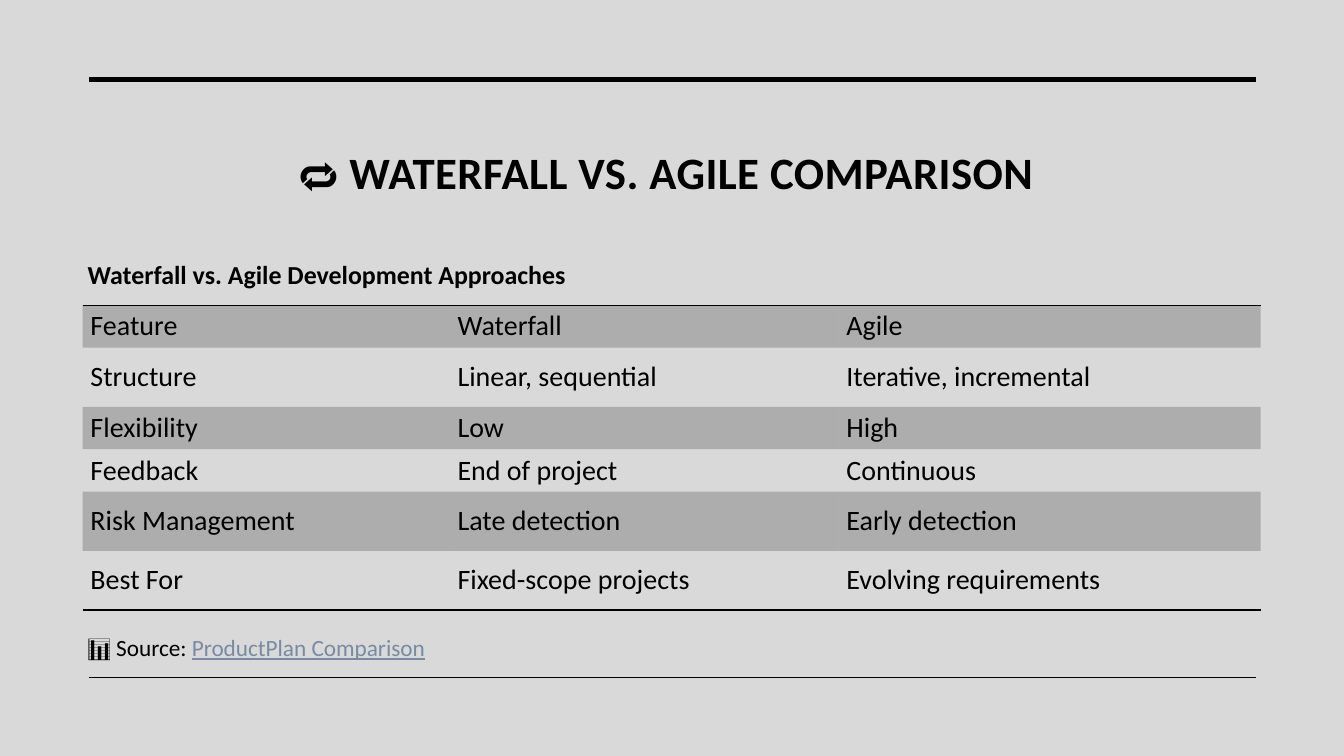
from dataclasses import dataclass

from lxml import etree
from pptx import Presentation
from pptx.dml import color
from pptx.enum import shapes, text
from pptx.oxml import ns
from pptx.util import Cm, Pt

INK = "000000"
LINK = "778BA2"
FONT = "Calibri"
NO_GRID_STYLE = "{2D5ABB26-0587-4C30-8999-92F81FD0307C}"
CONTENT_LEFT, CONTENT_WIDTH = 1.96, 29.67
COLUMN_WIDTHS = (9.25, 9.8, 10.64)
ROW_HEIGHTS = (1.07, 1.49, 1.07, 1.07, 1.49, 1.49)
COMPARISON = (
    ("Feature", "Waterfall", "Agile"),
    ("Structure", "Linear, sequential", "Iterative, incremental"),
    ("Flexibility", "Low", "High"),
    ("Feedback", "End of project", "Continuous"),
    ("Risk Management", "Late detection", "Early detection"),
    ("Best For", "Fixed-scope projects", "Evolving requirements"),
)


@dataclass
class Span:
    words: str
    size: float
    bold: bool = False
    colour: str = INK
    underline: bool = False
    spacing: int = 0


@dataclass
class Label:
    top: float
    height: float
    spans: tuple[Span, ...]
    align: text.PP_ALIGN = text.PP_ALIGN.LEFT


@dataclass
class Rule:
    top: float
    weight: float


LABELS = (
    Label(2.51, 3.63, (Span("🔁 WATERFALL VS. AGILE COMPARISON", 32, bold=True, spacing=30),),
          text.PP_ALIGN.CENTER),
    Label(6.4, 1.02, (Span("Waterfall vs. Agile Development Approaches", 18.5, bold=True),)),
    Label(15.8, 1.02, (Span("📊 Source: ", 16.6),
                       Span("ProductPlan Comparison", 16.6, colour=LINK, underline=True))),
)
RULES = (Rule(2, 3.5), Rule(17.07, 1))


def rgb(value: str) -> color.RGBColor:
    return color.RGBColor.from_string(value)


def style_span(span, look: Span) -> None:
    span.font.name = FONT
    span.font.size = Pt(look.size)
    span.font.bold = look.bold
    span.font.underline = look.underline
    span.font.color.rgb = rgb(look.colour)
    if look.spacing:
        span._r.get_or_add_rPr().set("spc", str(look.spacing))


def draw_label(page, label: Label) -> None:
    box = page.shapes.add_textbox(
        Cm(CONTENT_LEFT), Cm(label.top), Cm(CONTENT_WIDTH), Cm(label.height))
    frame = box.text_frame
    frame.word_wrap = True
    frame.vertical_anchor = text.MSO_ANCHOR.MIDDLE
    para = frame.paragraphs[0]
    para.alignment = label.align
    for look in label.spans:
        span = para.add_run()
        span.text = look.words
        style_span(span, look)


def draw_rule(page, rule: Rule) -> None:
    line = page.shapes.add_connector(
        shapes.MSO_CONNECTOR.STRAIGHT, Cm(2.24), Cm(rule.top), Cm(31.65), Cm(rule.top))
    line.line.color.rgb = rgb(INK)
    line.line.width = Pt(rule.weight)
    etree.SubElement(line._element.spPr, ns.qn("a:effectLst"))


def add_border(cell, edge: str) -> None:
    border = etree.Element(ns.qn(f"a:{edge}"), w=str(Pt(1)))
    fill = etree.SubElement(border, ns.qn("a:solidFill"))
    etree.SubElement(fill, ns.qn("a:srgbClr"), val=INK)
    cell._tc.get_or_add_tcPr().insert(0, border)


def fill_cell(cell, shaded: bool) -> None:
    if not shaded:
        cell.fill.background()
        return
    cell.fill.solid()
    cell.fill.fore_color.rgb = rgb(INK)
    tint = cell._tc.tcPr.find(".//" + ns.qn("a:srgbClr"))
    etree.SubElement(tint, ns.qn("a:alpha"), val="20000")


def draw_table(page) -> None:
    last = len(COMPARISON) - 1
    frame = page.shapes.add_table(
        len(COMPARISON), len(COLUMN_WIDTHS), Cm(2.08), Cm(7.69),
        Cm(sum(COLUMN_WIDTHS)), Cm(sum(ROW_HEIGHTS)))
    table = frame.table
    table.first_row = table.horz_banding = False
    table._tbl.tblPr.find(ns.qn("a:tableStyleId")).text = NO_GRID_STYLE
    for column, width in zip(table.columns, COLUMN_WIDTHS):
        column.width = Cm(width)
    for index, (row, height, entries) in enumerate(zip(table.rows, ROW_HEIGHTS, COMPARISON)):
        row.height = Cm(height)
        for cell, words in zip(row.cells, entries):
            cell.text_frame.text = words
            cell.vertical_anchor = text.MSO_ANCHOR.MIDDLE
            cell.margin_left = cell.margin_right = Cm(0.2)
            cell.margin_top = cell.margin_bottom = Cm(0.1)
            style_span(cell.text_frame.paragraphs[0].runs[0], Span(words, 20))
            fill_cell(cell, shaded=index % 2 == 0)
            if index == 0:
                add_border(cell, "lnT")
            if index == last:
                add_border(cell, "lnB")


def main() -> None:
    deck = Presentation()
    deck.slide_width, deck.slide_height = Cm(33.87), Cm(19.05)
    page = deck.slides.add_slide(deck.slide_layouts[6])
    page.background.fill.solid()
    page.background.fill.fore_color.rgb = rgb("D9D9D9")
    for label in LABELS:
        draw_label(page, label)
    for rule in RULES:
        draw_rule(page, rule)
    draw_table(page)
    deck.save("out.pptx")


if __name__ == "__main__":
    main()
